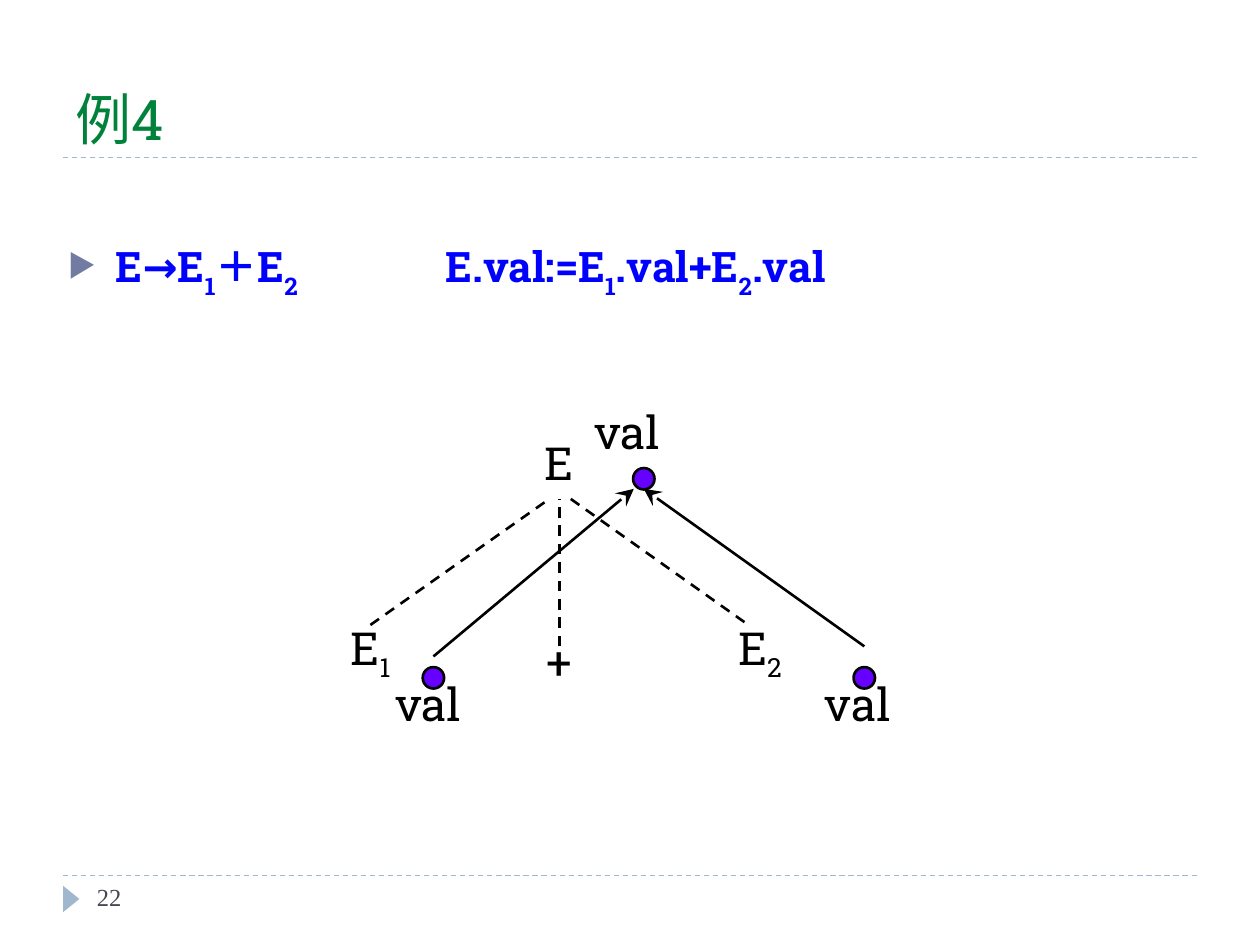
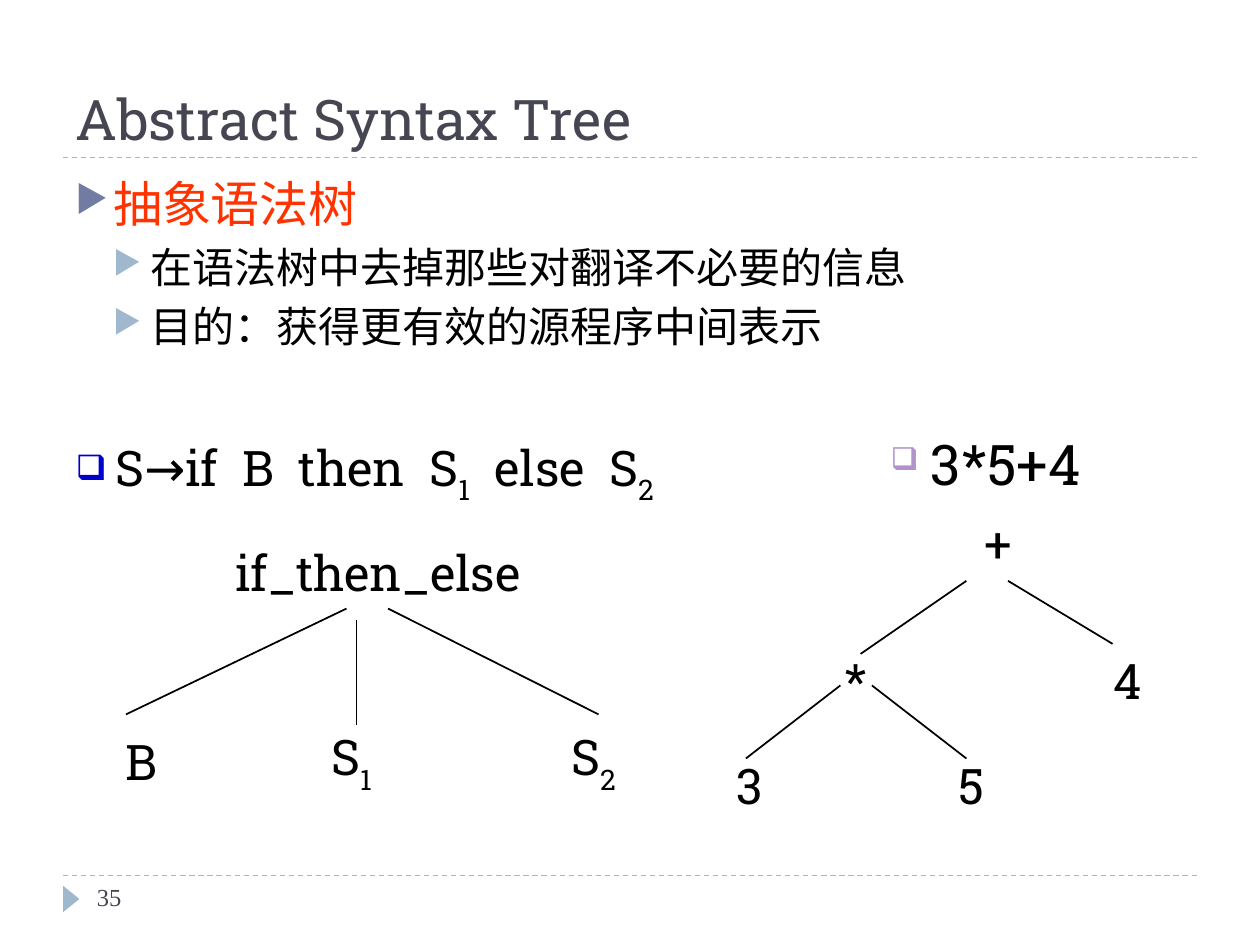
from pptx import Presentation
from pptx.dml.color import RGBColor
from pptx.enum.dml import MSO_LINE
from pptx.enum.shapes import MSO_CONNECTOR, MSO_SHAPE
from pptx.enum.text import MSO_ANCHOR, PP_ALIGN
from pptx.oxml.ns import qn
from pptx.util import Inches, Pt
from lxml.etree import SubElement

FONT = "Roboto Slab"
NUMBER_FONT = "Times New Roman"
BULLET_FONT = "OpenSymbol"
BLACK, SLATE, GREEN, BLUE, RED = "000000", "464653", "00823B", "0000FF", "FF3300"
PALE_BLUE, STEEL, VIOLET = "9FB8CD", "727CA3", "6600FF"
MARGIN, CONTENT_WIDTH = 0.5, 9
LABEL_WIDTH, LABEL_HEIGHT = 1.25, 0.58
ROOT_WIDTH = 2.67
DOT_SIZE = 0.17


def color(value):
    return RGBColor.from_string(value)


# Text helpers
def add_run(paragraph, text, size, fill=BLACK, bold=False, font=FONT):
    run = paragraph.add_run()
    run.text = text
    run.font.name, run.font.size, run.font.bold = font, Pt(size), bold
    run.font.color.rgb = color(fill)
    return run


def add_indexed(paragraph, text, size, fill=BLACK, bold=False, drop=30):
    """Every second piece between bars becomes a subscript."""
    for index, piece in enumerate(text.split("|")):
        if piece:
            run = add_run(paragraph, piece, size, fill, bold)
            if index % 2:
                run.font._element.set("baseline", str(-drop * 1000))


def add_text_box(shapes, left, top, width, height, anchor=MSO_ANCHOR.TOP, wrap=True):
    box = shapes.add_textbox(Inches(left), Inches(top), Inches(width), Inches(height))
    box.text_frame.word_wrap = wrap
    box.text_frame.vertical_anchor = anchor
    return box


def set_bullet(paragraph, char, fill, percent=100):
    properties = paragraph._p.get_or_add_pPr()
    bullet_color = SubElement(properties, qn("a:buClr"))
    SubElement(bullet_color, qn("a:srgbClr")).set("val", fill)
    SubElement(properties, qn("a:buSzPct")).set("val", str(percent * 1000))
    SubElement(properties, qn("a:buFont")).set("typeface", BULLET_FONT)
    SubElement(properties, qn("a:buChar")).set("char", char)


def format_item(paragraph, level=0):
    paragraph.level = level
    paragraph.space_before = Pt(6 - level)
    properties = paragraph._p.get_or_add_pPr()
    properties.set("marL", str(Inches(0.3 * (level + 1))))
    properties.set("indent", str(Inches(-0.3)))
    set_bullet(paragraph, "▶", PALE_BLUE if level else STEEL, 76)


# Line helper
def add_line(shapes, start, end, width, fill=BLACK, dashed=False, arrow=False):
    points = [Inches(value) for value in (*start, *end)]
    line = shapes.add_connector(MSO_CONNECTOR.STRAIGHT, *points)
    line.line.color.rgb = color(fill)
    line.line.width = Pt(width)
    if dashed:
        line.line.dash_style = MSO_LINE.DASH
    properties = line._element.spPr
    if arrow:
        head = SubElement(properties.find(qn("a:ln")), qn("a:tailEnd"))
        for name, value in (("type", "stealth"), ("w", "lg"), ("len", "lg")):
            head.set(name, value)
    SubElement(properties, qn("a:effectLst"))
    return line


# Shared frame: rules, title and page number
def add_framed_slide(presentation, title, title_fill, number):
    slide = presentation.slides.add_slide(presentation.slide_layouts[6])
    shapes = slide.shapes
    for y in (6.95, 1.25):
        add_line(shapes, (MARGIN, y), (MARGIN + CONTENT_WIDTH, y), 0.75, PALE_BLUE, dashed=True)

    marker = shapes.add_shape(MSO_SHAPE.ISOSCELES_TRIANGLE, Inches(0.46), Inches(7.07),
                              Inches(0.21), Inches(0.13))
    marker.rotation = 90
    marker.shadow.inherit = False
    marker.fill.solid()
    marker.fill.fore_color.rgb = color(PALE_BLUE)
    marker.line.fill.background()

    heading = add_text_box(shapes, MARGIN, 0.17, CONTENT_WIDTH, 1.08, MSO_ANCHOR.BOTTOM)
    add_run(heading.text_frame.paragraphs[0], title, 32, title_fill)
    page = add_text_box(shapes, 0.67, 6.95, 2.17, 0.4)
    add_run(page.text_frame.paragraphs[0], str(number), 14, SLATE, font=NUMBER_FONT)
    return slide


# Trees
def add_label(shapes, center, top, text, size, drop, width=LABEL_WIDTH):
    box = add_text_box(shapes, center - width / 2, top, width, LABEL_HEIGHT,
                       MSO_ANCHOR.MIDDLE, wrap=False)
    paragraph = box.text_frame.paragraphs[0]
    paragraph.alignment = PP_ALIGN.CENTER
    add_indexed(paragraph, text, size, drop=drop)
    return box


def add_tree(slide, left, top, root, labels, branches, size=28, width=1, dashed=False, drop=30):
    """Labels are (center, top, text); branches are (x1, y1, x2, y2) inside the tree."""
    shapes = slide.shapes.add_group_shape().shapes
    root_x, root_y, root_text = root
    root_box = add_label(shapes, left + root_x, top + root_y, root_text, size, drop, ROOT_WIDTH)
    for x, y, text in labels:
        add_label(shapes, left + x, top + y, text, size, drop)
    lines = [add_line(shapes, (left + x1, top + y1), (left + x2, top + y2), width, dashed=dashed)
             for x1, y1, x2, y2 in branches]
    return shapes, root_box, lines


def add_dot(shapes, x, y):
    dot = shapes.add_shape(MSO_SHAPE.OVAL, Inches(x - DOT_SIZE / 2), Inches(y - DOT_SIZE / 2),
                           Inches(DOT_SIZE), Inches(DOT_SIZE))
    dot.shadow.inherit = False
    dot.fill.solid()
    dot.fill.fore_color.rgb = color(VIOLET)
    dot.line.color.rgb = color(BLACK)
    dot.line.width = Pt(1.5)


def add_attribute_tree(slide, left, top):
    labels = [(1.25, 1.75, "E|1"), (2.75, 1.83, "+"), (4.34, 1.75, "E|2"),
              (3.29, 0, "val"), (1.71, 2.16, "val"), (5.12, 2.16, "val")]
    branches = [(2.75, 2, 2.75, 0.83), (1.25, 1.83, 2.67, 0.83), (2.84, 0.83, 4.25, 1.83)]
    shapes, root_box, lines = add_tree(slide, left, top, (2.75, 0.25, "E"), labels, branches,
                                       size=26, width=1.5, dashed=True, drop=25)
    lines[0].end_connect(root_box, 2)

    # Values flow from the children up to the parent
    for x1, y1, x2 in ((1.75, 2.08, 3.34), (5.17, 2, 3.42)):
        add_line(shapes, (left + x1, top + y1), (left + x2, top + 0.75), 1.5, arrow=True)
    for x, y in ((1.75, 2.25), (5.17, 2.25), (3.42, 0.67)):
        add_dot(shapes, left + x, top + y)


def add_conditional_tree(slide, left, top):
    add_tree(slide, left, top, (2.5, 0, "if_then_else"),
             [(0.62, 1.5, "B"), (2.29, 1.5, "S|1"), (4.21, 1.5, "S|2")],
             [(2.25, 0.58, 0.5, 1.42), (2.33, 0.67, 2.33, 1.5), (2.58, 0.58, 4.25, 1.42)])


def add_expression_tree(slide, left, top):
    add_tree(slide, left, top, (2.59, 0, "+"),
             [(1.46, 1.09, "*"), (3.62, 1.09, "4"), (0.62, 1.92, "3"), (2.38, 1.92, "5")],
             [(2.34, 0.59, 1.5, 1.17), (2.67, 0.59, 3.5, 1.09),
              (1.34, 1.42, 0.59, 2), (1.59, 1.42, 2.34, 2)])


def add_tree_caption(slide, left, top, width, text, size, bullet_size, bullet_fill, percent):
    box = add_text_box(slide.shapes, left, top, width, 0.6, wrap=False)
    paragraph = box.text_frame.paragraphs[0]
    paragraph.alignment = PP_ALIGN.CENTER
    set_bullet(paragraph, "❑", bullet_fill, percent)
    add_run(paragraph, " ", bullet_size)  # its size also sets the bullet's
    add_indexed(paragraph, text, size)


# Slides
def build_attribute_slide(presentation):
    slide = add_framed_slide(presentation, "例4", GREEN, 22)
    body = add_text_box(slide.shapes, 0.44, 1.86, CONTENT_WIDTH, 0.92)
    rule = body.text_frame.paragraphs[0]
    format_item(rule)
    add_indexed(rule, " E→E|1|＋E|2\t\t\t|E.val:=E|1|.val+E|2|.val", 24, BLUE, bold=True)
    add_attribute_tree(slide, 1.69, 3.13)


def build_syntax_tree_slide(presentation):
    slide = add_framed_slide(presentation, "Abstract Syntax Tree", SLATE, 35)
    frame = add_text_box(slide.shapes, MARGIN, 1.33, CONTENT_WIDTH, 1.71).text_frame
    items = [(0, "抽象语法树", 28, RED),
             (1, "在语法树中去掉那些对翻译不必要的信息", 24, BLACK),
             (1, "目的：获得更有效的源程序中间表示", 24, BLACK)]
    for index, (level, text, size, fill) in enumerate(items):
        paragraph = frame.add_paragraph() if index else frame.paragraphs[0]
        format_item(paragraph, level)
        add_run(paragraph, text, size, fill)

    add_tree_caption(slide, 0.18, 3.42, 5.43, "S→if  B  then  S|1|  else  S|2",
                     28, 20, "0000CC", 100)
    add_conditional_tree(slide, 0.5, 4.25)
    add_tree_caption(slide, 6.88, 3.36, 1.9, "3*5+4", 32, 24, "B292CA", 75)
    add_expression_tree(slide, 5.33, 4.02)


def main():
    presentation = Presentation()
    presentation.slide_width, presentation.slide_height = Inches(10), Inches(7.5)
    build_attribute_slide(presentation)
    build_syntax_tree_slide(presentation)
    presentation.save("out.pptx")


if __name__ == "__main__":
    main()
